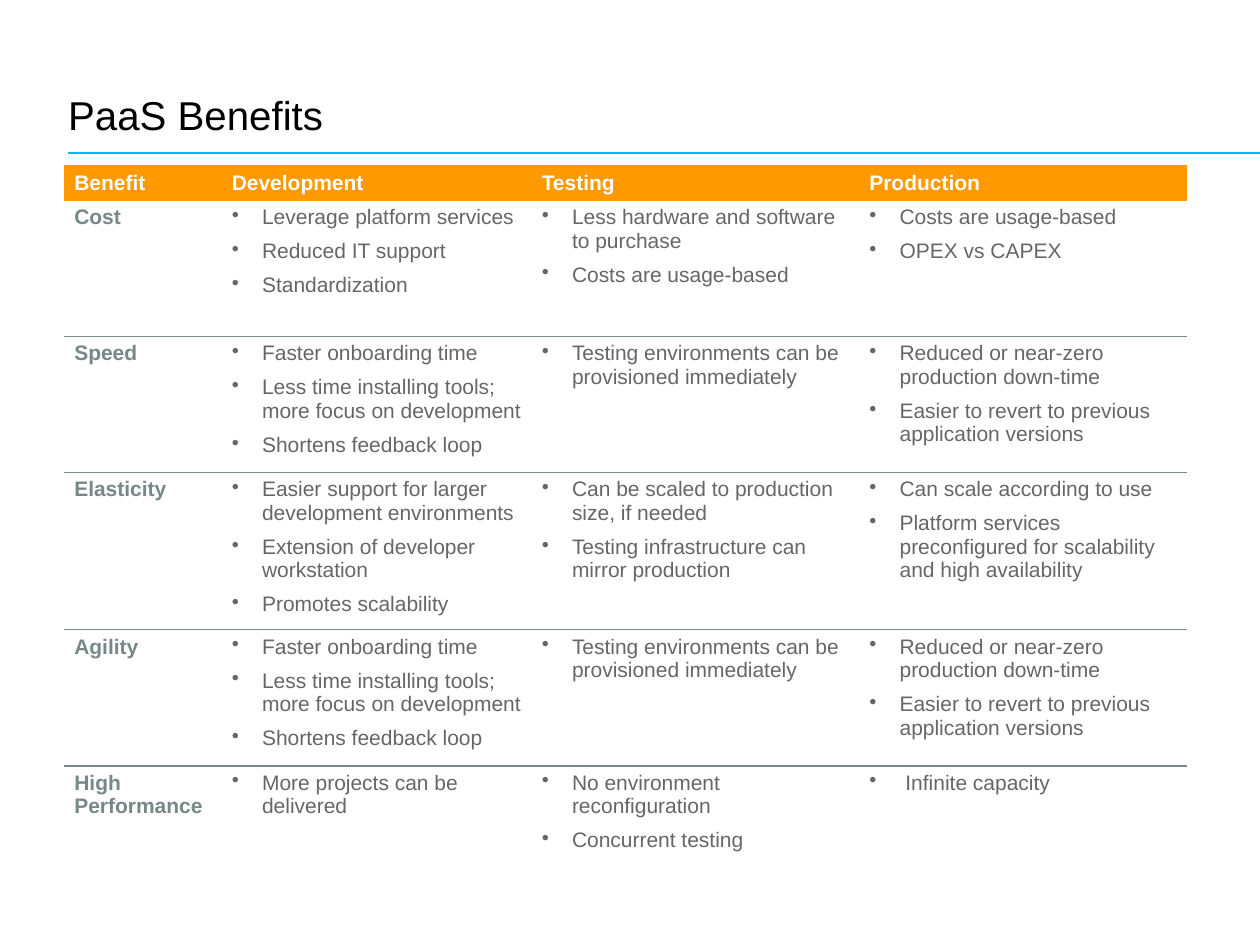
from dataclasses import dataclass

from lxml.etree import SubElement
from pptx import Presentation
from pptx.dml.color import RGBColor
from pptx.enum.shapes import MSO_CONNECTOR
from pptx.enum.text import MSO_ANCHOR
from pptx.oxml import parse_xml
from pptx.oxml.ns import nsdecls, qn
from pptx.util import Inches, Pt


@dataclass(frozen=True)
class Theme:
    font: str = "Arial"
    title: str = "000000"
    accent: str = "00BBEE"
    header: str = "FF9900"
    header_text: str = "FFFFFF"
    label: str = "778888"
    body: str = "666666"
    title_size: float = 23
    table_size: float = 12
    paragraph_gap: float = 6
    title_rule: float = 1
    row_rule: float = 0.75
    indent: float = 0.24


THEME = Theme()
PAGE_WIDTH, PAGE_HEIGHT = Inches(10), Inches(7.5)
PLAIN_TABLE = "{2D5ABB26-0587-4C30-8999-92F81FD0307C}"
COLUMNS = [1.25, 2.46, 2.6, 2.6]
HEADER_ROW, BODY_ROW = 0.26, 1.08

HEADINGS = ["Benefit", "Development", "Testing", "Production"]
FASTER_DELIVERY = [
    [
        "Faster onboarding time",
        "Less time installing tools; more focus on development",
        "Shortens feedback loop",
    ],
    ["Testing environments can be provisioned immediately"],
    [
        "Reduced or near-zero production down-time",
        "Easier to revert to previous application versions",
    ],
]
BENEFITS = {
    "Cost": [
        ["Leverage platform services", "Reduced IT support", "Standardization"],
        ["Less hardware and software to purchase", "Costs are usage-based"],
        ["Costs are usage-based", "OPEX vs CAPEX"],
    ],
    "Speed": FASTER_DELIVERY,
    "Elasticity": [
        [
            "Easier support for larger development environments",
            "Extension of developer workstation",
            "Promotes scalability",
        ],
        [
            "Can be scaled to production size, if needed",
            "Testing infrastructure can mirror production",
        ],
        [
            "Can scale according to use",
            "Platform services preconfigured for scalability and high availability",
        ],
    ],
    "Agility": FASTER_DELIVERY,
    "High Performance": [
        ["More projects can be delivered"],
        ["No environment reconfiguration", "Concurrent testing"],
        [" Infinite capacity"],
    ],
}


def share(left, top, width, height):
    return (
        round(PAGE_WIDTH * left),
        round(PAGE_HEIGHT * top),
        round(PAGE_WIDTH * width),
        round(PAGE_HEIGHT * height),
    )


def style_text(para, size, color, bold=False):
    para.font.name = THEME.font
    para.font.size = Pt(size)
    para.font.bold = bold
    para.font.color.rgb = RGBColor.from_string(color)


def add_bullet(para):
    properties = para._p.get_or_add_pPr()
    properties.set("marL", str(Inches(THEME.indent)))
    properties.set("indent", str(-Inches(THEME.indent)))
    SubElement(properties, qn("a:buChar"), char="•")


def fill_cell(cell, lines, color, bold=False, bulleted=False):
    cell.margin_left = cell.margin_right = Inches(0.08)
    cell.margin_top = cell.margin_bottom = Inches(0.04)
    frame = cell.text_frame
    frame.text = "\n".join(lines)
    for index, para in enumerate(frame.paragraphs):
        if bulleted:
            add_bullet(para)
        if index:
            para.space_before = Pt(THEME.paragraph_gap)
        style_text(para, THEME.table_size, color, bold)


def rule_below(cell):
    border = parse_xml(
        f'<a:lnB {nsdecls("a")} w="{Pt(THEME.row_rule)}"><a:solidFill>'
        f'<a:srgbClr val="{THEME.label}"/></a:solidFill></a:lnB>'
    )
    cell._tc.get_or_add_tcPr().insert(0, border)


def add_title(page, box, text):
    left, top, width, height = box
    title = page.shapes.add_textbox(*box)
    frame = title.text_frame
    frame.word_wrap = True
    frame.vertical_anchor = MSO_ANCHOR.BOTTOM
    frame.margin_left = frame.margin_right = frame.margin_bottom = 0
    frame.margin_top = Inches(0.05)
    frame.text = text
    style_text(frame.paragraphs[0], THEME.title_size, THEME.title)

    rule_top = round(height * 1.1)
    rule = page.shapes.add_connector(
        MSO_CONNECTOR.STRAIGHT, left, top + rule_top, PAGE_WIDTH, top + rule_top
    )
    rule.line.color.rgb = RGBColor.from_string(THEME.accent)
    rule.line.width = Pt(THEME.title_rule)
    SubElement(rule._element.spPr, qn("a:effectLst"))


def add_benefits(page, box):
    frame = page.shapes.add_table(len(BENEFITS) + 1, len(COLUMNS), *box)
    table = frame.table
    table.first_row = table.horz_banding = False
    table._tbl.tblPr.find(qn("a:tableStyleId")).text = PLAIN_TABLE
    for column, width in zip(table.columns, COLUMNS):
        column.width = round(box[2] * width / sum(COLUMNS))
    for index, row in enumerate(table.rows):
        row.height = Inches(BODY_ROW if index else HEADER_ROW)

    for cell, heading in zip(table.rows[0].cells, HEADINGS):
        fill_cell(cell, [heading], THEME.header_text, bold=True)
        cell.vertical_anchor = MSO_ANCHOR.MIDDLE
        cell.fill.solid()
        cell.fill.fore_color.rgb = RGBColor.from_string(THEME.header)

    for number, (benefit, groups) in enumerate(BENEFITS.items(), 1):
        label, *details = table.rows[number].cells
        fill_cell(label, [benefit], THEME.label, bold=True)
        for cell, lines in zip(details, groups):
            fill_cell(cell, lines, THEME.body, bulleted=True)
        for cell in (label, *details):
            cell.fill.background()
            if number < len(BENEFITS):
                rule_below(cell)


def main():
    deck = Presentation()
    deck.slide_width, deck.slide_height = PAGE_WIDTH, PAGE_HEIGHT
    page = deck.slides.add_slide(deck.slide_layouts[6])
    add_title(page, share(0.054, 0, 0.892, 0.147), "PaaS Benefits")
    add_benefits(page, share(0.051, 0.175, 0.891, 0.755))
    deck.save("out.pptx")


if __name__ == "__main__":
    main()
